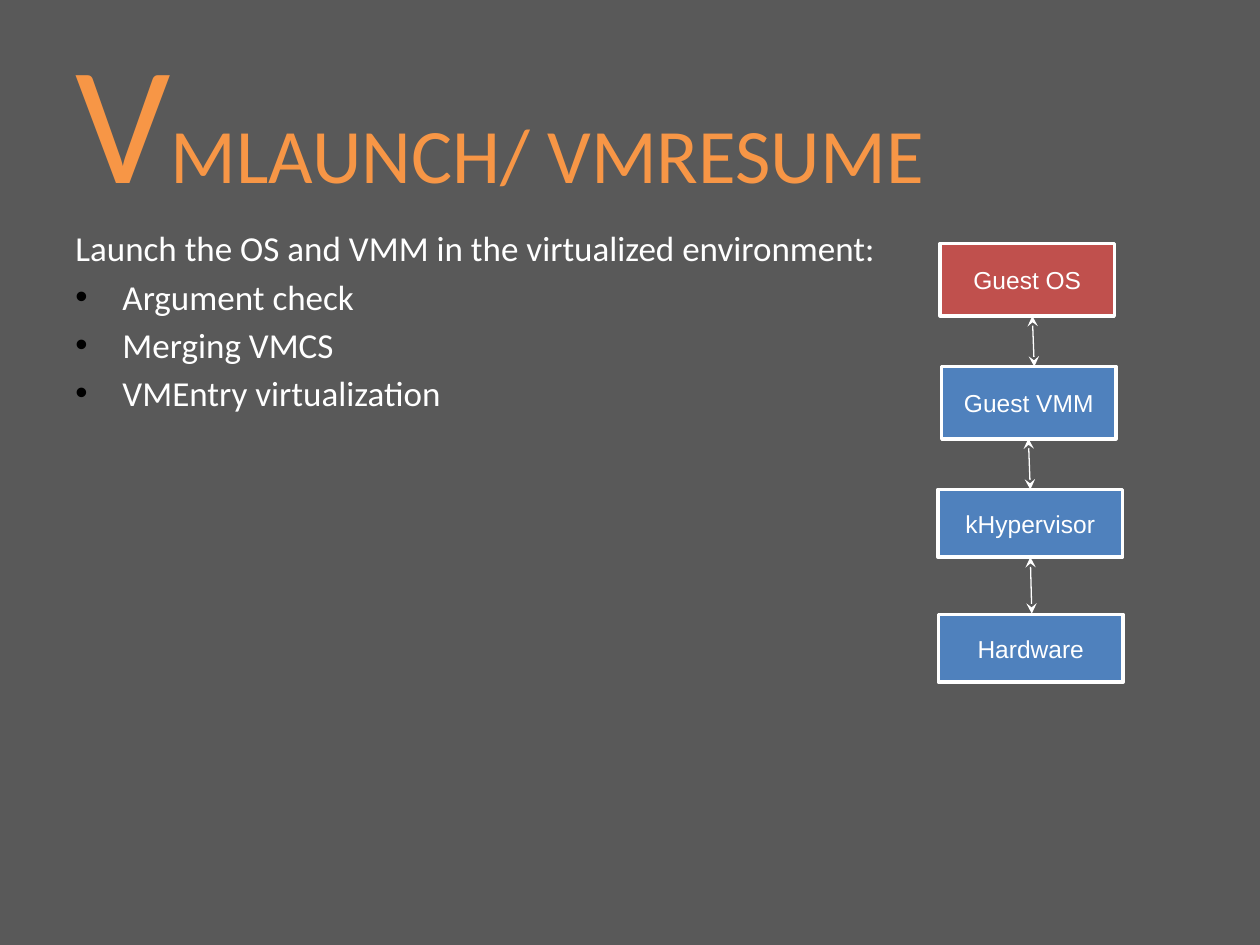
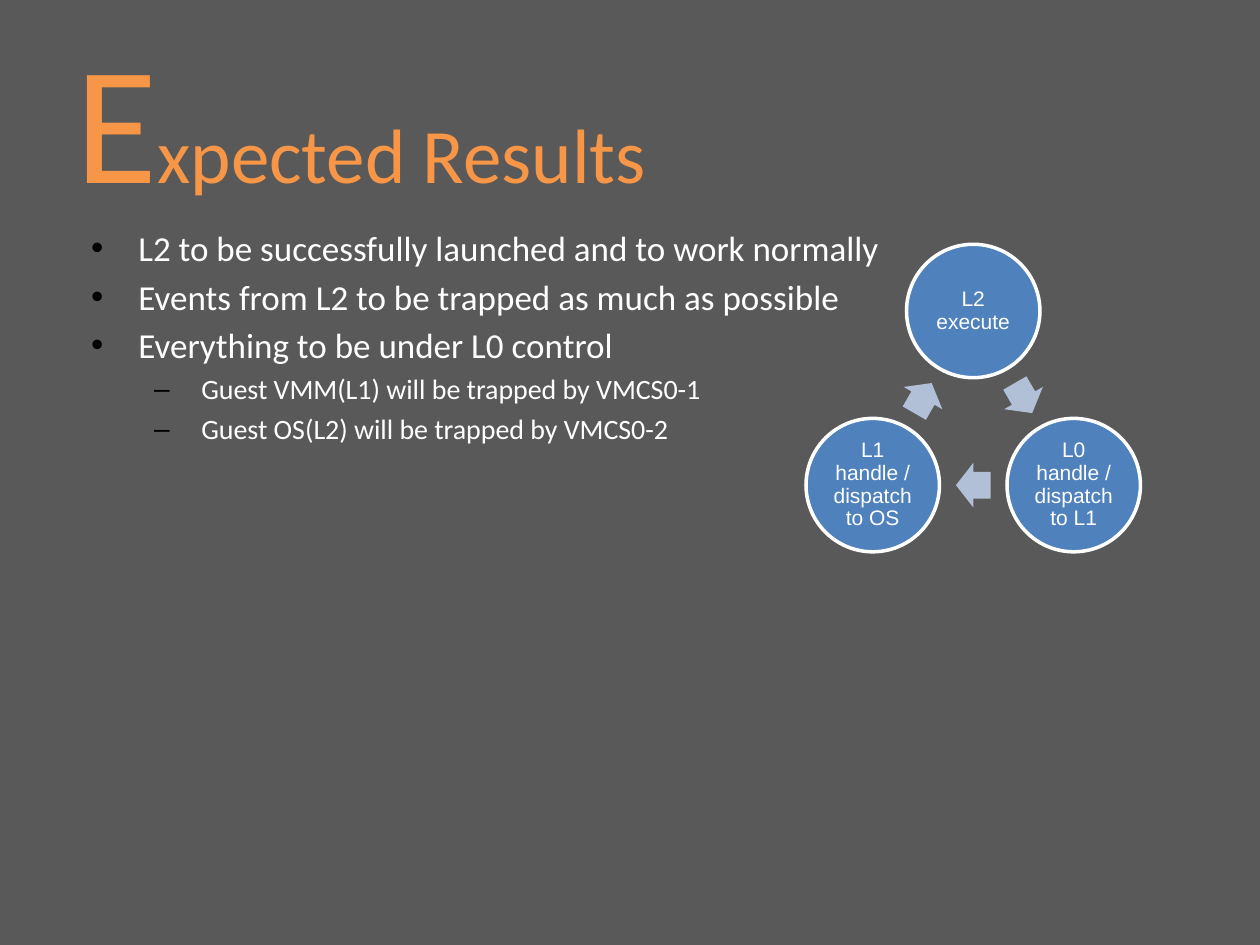
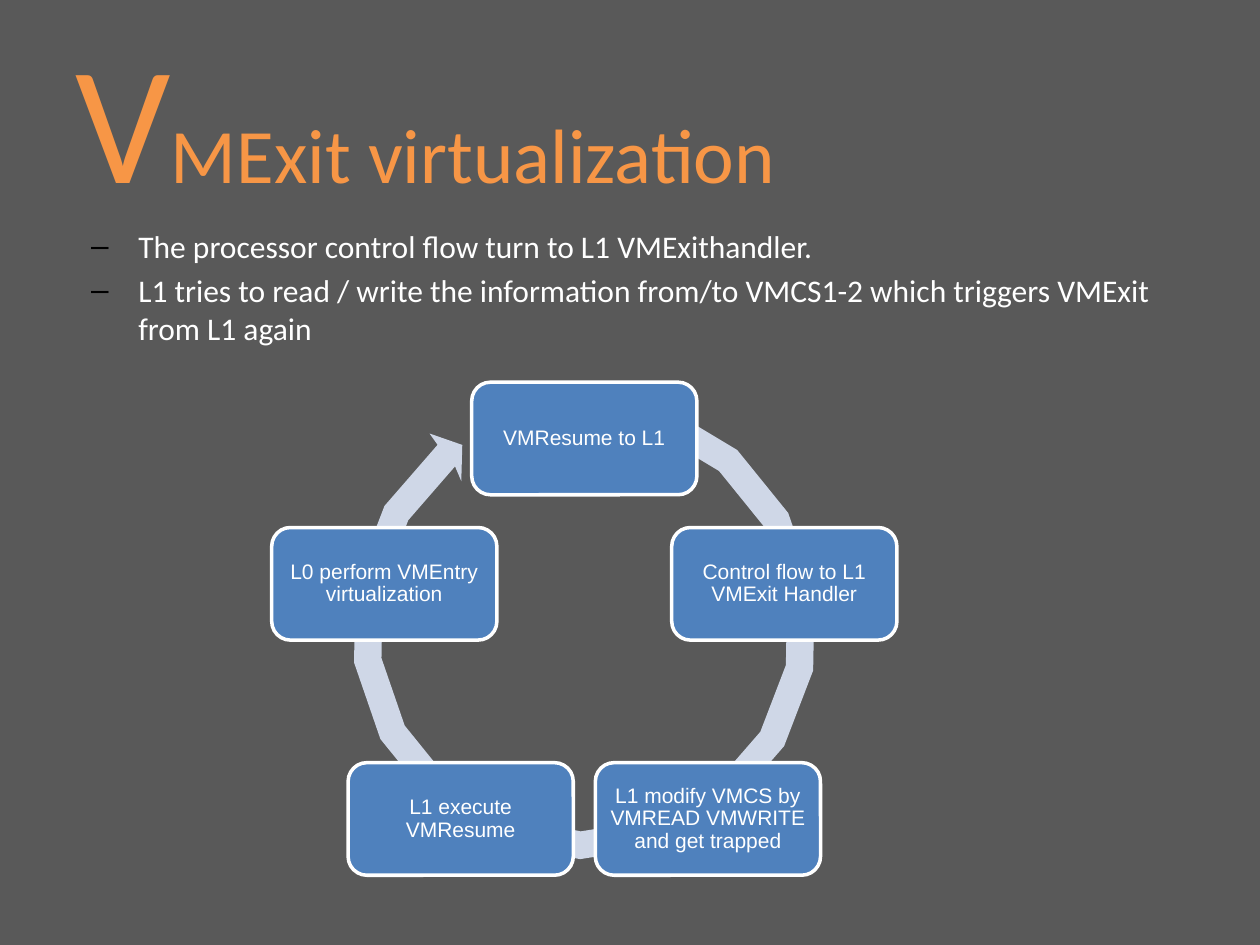
import math
import pptx
import pptx.dml.color
import pptx.enum.shapes
import pptx.enum.text
import pptx.oxml
import pptx.oxml.ns
import pptx.util

Cm = pptx.util.Cm
Pt = pptx.util.Pt
Shape = pptx.enum.shapes.MSO_SHAPE

COLORS = {
    "background": "595959",
    "title": "F79646",
    "text": "FFFFFF",
    "bullet": "000000",
    "node": "4F81BD",
    "guest": "C0504D",
    "arrow": "B1C0D7",
    "ring": "CFD7E7",
}
RGB = {name: pptx.dml.color.RGBColor.from_string(value) for name, value in COLORS.items()}


def add_span(para, text, size, font, color):
    span = para.add_run()
    span.text = text
    for name, value in {"size": Pt(size), "name": font}.items():
        setattr(span.font, name, value)
    span.font.color.rgb = RGB[color]


def add_node(page, kind, center, size, text, text_size, margins, spacing, fill="node"):
    width, height = size
    node = page.shapes.add_shape(
        kind, Cm(center[0] - width / 2), Cm(center[1] - height / 2), Cm(width), Cm(height)
    )
    node.shadow.inherit = False
    node.fill.solid()
    node.fill.fore_color.rgb = RGB[fill]
    node.line.color.rgb = RGB["text"]
    node.line.width = Pt(2)
    frame = node.text_frame
    layout = {
        "word_wrap": True,
        "vertical_anchor": pptx.enum.text.MSO_ANCHOR.MIDDLE,
        "margin_left": Cm(margins[0]),
        "margin_right": Cm(margins[0]),
        "margin_top": Cm(margins[1]),
        "margin_bottom": Cm(margins[1]),
    }
    for name, value in layout.items():
        setattr(frame, name, value)
    para = frame.paragraphs[0]
    para.alignment = pptx.enum.text.PP_ALIGN.CENTER
    para.line_spacing = spacing
    add_span(para, text, text_size, "Arial", "text")


deck = pptx.Presentation()
deck.slide_width = Cm(25.4)
deck.slide_height = Cm(19.05)

slides = [
    ("V", "MLAUNCH/ VMRESUME", [
        ("Launch the OS and VMM in the virtualized environment:", 20, 0, 0, None),
        ("Argument check", 20, 0, 0.95, "•"),
        ("Merging VMCS", 20, 0, 0.95, "•"),
        ("VMEntry virtualization", 20, 0, 0.95, "•"),
    ]),
    ("E", "xpected Results", [
        ("L2 to be successfully launched and to work normally", 20, 0, 1.27, "•"),
        ("Events from L2 to be trapped as much as possible", 20, 0, 1.27, "•"),
        ("Everything to be under L0 control", 20, 0, 1.27, "•"),
        ("Guest VMM(L1) will be trapped by VMCS0-1", 16, 1, 2.54, "–"),
        ("Guest OS(L2) will be trapped by VMCS0-2", 16, 1, 2.54, "–"),
    ]),
    ("V", "MExit virtualization", [
        ("The processor control flow turn to L1 VMExithandler.", 18, 0, 1.27, "–"),
        ("L1 tries to read / write the information from/to VMCS1-2 which triggers "
         "VMExit from L1 again", 18, 0, 1.27, "–"),
    ]),
]

pages = []
for initial, rest, lines in slides:
    page = deck.slides.add_slide(deck.slide_layouts[6])
    pages.append(page)
    page.background.fill.solid()
    page.background.fill.fore_color.rgb = RGB["background"]

    title = page.shapes.add_textbox(Cm(1.27), Cm(0.76), Cm(22.86), Cm(3.18)).text_frame
    title.word_wrap = True
    title.vertical_anchor = pptx.enum.text.MSO_ANCHOR.MIDDLE
    add_span(title.paragraphs[0], initial, 96, "Calibri", "title")
    add_span(title.paragraphs[0], rest, 44, "Calibri", "title")

    body = page.shapes.add_textbox(Cm(1.27), Cm(4.45), Cm(22.86), Cm(12.57)).text_frame
    body.word_wrap = True
    for number, (text, size, level, indent, bullet) in enumerate(lines):
        para = body.add_paragraph() if number else body.paragraphs[0]
        para.level = level
        para.space_before = Pt(3.6)
        add_span(para, text, size, "Calibri", "text")
        if bullet:
            properties = para._p.get_or_add_pPr()
            properties.set("marL", str(Cm(indent)))
            properties.set("indent", str(Cm(-0.95)))
            namespace = pptx.oxml.ns.nsdecls("a")
            for markup in (
                f'<a:buClr {namespace}><a:srgbClr val="{COLORS["bullet"]}"/></a:buClr>',
                f'<a:buFont {namespace} typeface="Arial"/>',
                f'<a:buChar {namespace} char="{bullet}"/>',
            ):
                properties.append(pptx.oxml.parse_xml(markup))

launch_page, results_page, exit_page = pages

layers = [
    ("Guest OS", (20.71, 5.64), (3.51, 1.46), "guest"),
    ("Guest VMM", (20.74, 8.12), (3.51, 1.46), "node"),
    ("kHypervisor", (20.77, 10.55), (3.72, 1.37), "node"),
    ("Hardware", (20.78, 13.07), (3.72, 1.37), "node"),
]
for text, center, size, fill in layers:
    add_node(launch_page, Shape.RECTANGLE, center, size, text, 14, (0.25, 0.13), 1.0, fill)

links = [
    (20.81, 6.37, 20.85, 7.39),
    (20.73, 8.84, 20.77, 9.87),
    (20.77, 11.23, 20.8, 12.37),
]
for ends in links:
    link = launch_page.shapes.add_connector(
        pptx.enum.shapes.MSO_CONNECTOR.STRAIGHT, *[Cm(end) for end in ends]
    )
    link.line.color.rgb = RGB["text"]
    link.line.width = Pt(0.75)
    outline = link.line._get_or_add_ln()
    for tag in ("a:headEnd", "a:tailEnd"):
        outline.append(pptx.oxml.parse_xml(
            f'<{tag} {pptx.oxml.ns.nsdecls("a")} type="stealth"/>'
        ))
    link._element.spPr.append(pptx.oxml.parse_xml(
        f'<a:effectLst {pptx.oxml.ns.nsdecls("a")}/>'
    ))

cycle_x, cycle_y, cycle_radius = 19.62, 8.61, 2.34
steps = ["L2 execute", "L0 handle / dispatch to L1", "L1 handle / dispatch to OS"]
for number, text in enumerate(steps):
    angle = math.radians(120 * number - 90)
    center = (cycle_x + cycle_radius * math.cos(angle), cycle_y + cycle_radius * math.sin(angle))
    add_node(results_page, Shape.OVAL, center, (2.69, 2.69), text, 12, (0.04, 0.04), 0.9)

    angle += math.radians(60)
    arrow = results_page.shapes.add_shape(
        Shape.RIGHT_ARROW,
        Cm(cycle_x + cycle_radius / 2 * math.cos(angle) - 0.35),
        Cm(cycle_y + cycle_radius / 2 * math.sin(angle) - 0.45),
        Cm(0.7), Cm(0.9),
    )
    arrow.shadow.inherit = False
    arrow.rotation = 60 + 120 * number
    arrow.adjustments[0] = 0.6
    arrow.fill.solid()
    arrow.fill.fore_color.rgb = RGB["arrow"]
    arrow.line.fill.background()

loop_x, ring_y = 11.78, 12.62
outer_arc, inner_arc = [
    [
        (loop_x + radius * math.cos(math.radians(degrees)),
         ring_y + radius * math.sin(math.radians(degrees)))
        for degrees in range(-69, 232, 20)
    ]
    for radius in (4.7, 4.14)
]
arrowhead = [(8.66, 8.74), (9.32, 8.97), (9.3, 9.7)]
points = [(Cm(x), Cm(y)) for x, y in outer_arc + arrowhead + inner_arc[::-1]]
builder = exit_page.shapes.build_freeform(*points[0])
builder.add_line_segments(points[1:], close=True)
ring = builder.convert_to_shape()
ring.shadow.inherit = False
ring.fill.solid()
ring.fill.fore_color.rgb = RGB["ring"]
ring.line.fill.background()

stages = [
    "VMResume to L1",
    "Control flow to L1 VMExit Handler",
    "L1 modify VMCS by VMREAD VMWRITE and get trapped",
    "L1 execute VMResume",
    "L0 perform VMEntry virtualization",
]
for number, text in enumerate(stages):
    angle = math.radians(72 * number - 90)
    center = (loop_x + 4.24 * math.cos(angle), 13.08 + 4.24 * math.sin(angle))
    add_node(exit_page, Shape.ROUNDED_RECTANGLE, center, (4.54, 2.27), text, 12, (0.12, 0.12), 0.9)

deck.save("out.pptx")
